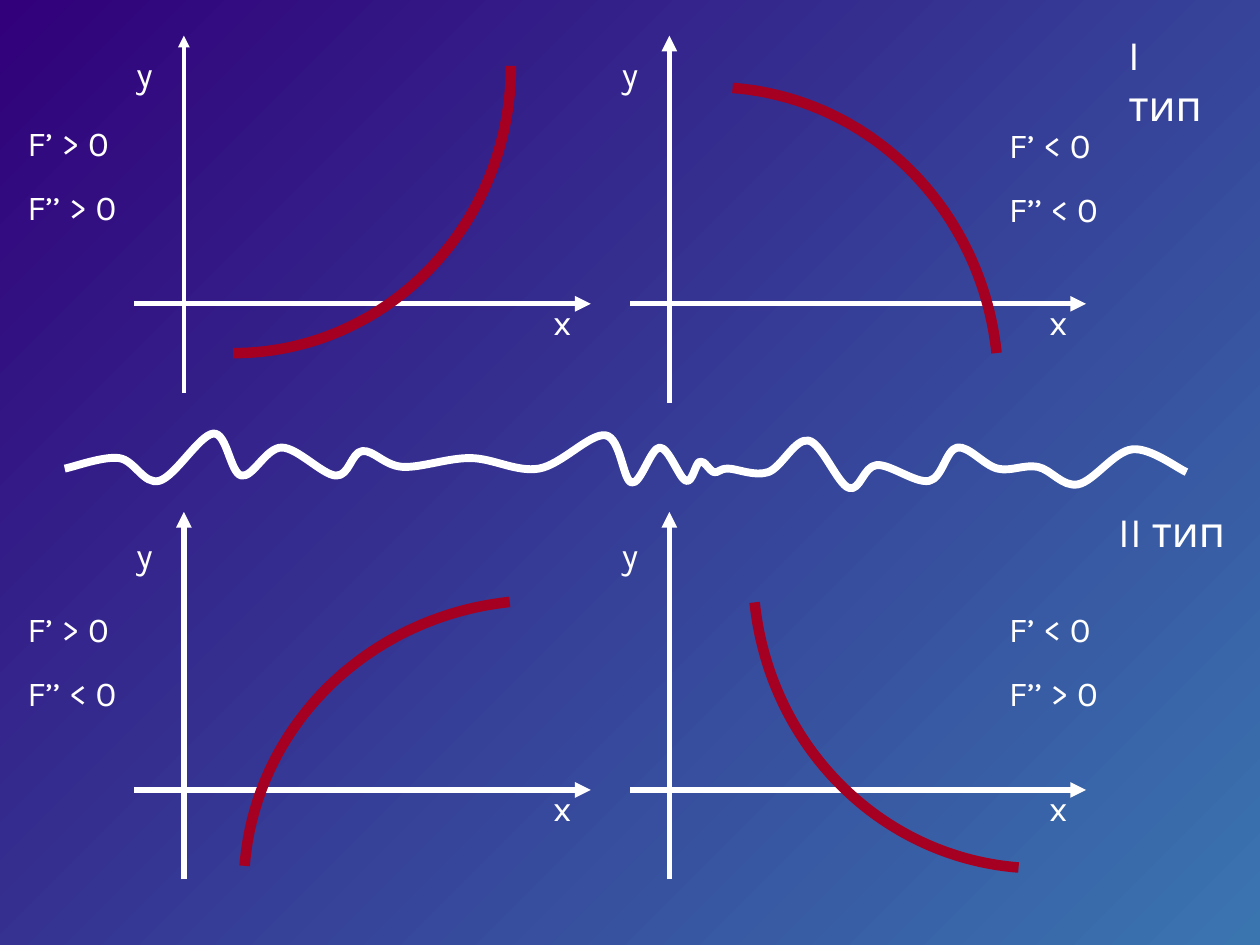
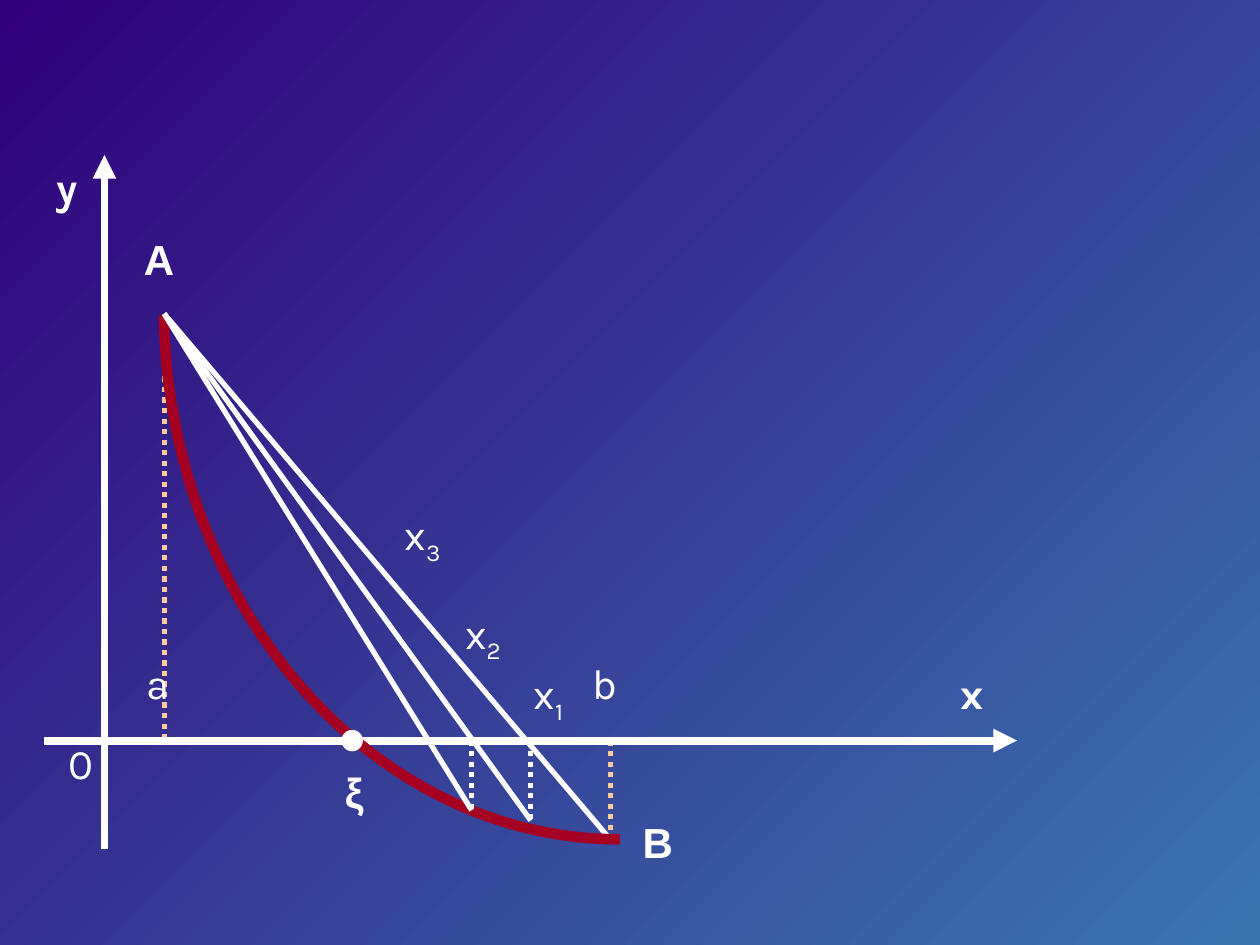
from copy import deepcopy

from lxml import etree
from pptx import Presentation
from pptx import util as u
from pptx.dml.color import RGBColor
from pptx.enum import dml, shapes, text
from pptx.oxml.ns import qn

WHITE = RGBColor(0xFF, 0xFF, 0xFF)
PEACH = RGBColor(0xFF, 0xCC, 0x99)
CRIMSON = RGBColor(0xA5, 0x00, 0x21)
INDIGO = RGBColor(0x31, 0x00, 0x7A)
STEEL = RGBColor(0x3A, 0x75, 0xB0)
FONT, SYMBOL_FONT = "Karla", "Arial"
DOTTED = dml.MSO_LINE.ROUND_DOT


def set_attrs(obj, values):
    for name, value in values.items():
        setattr(obj, name, value)


def add_slide(prs):
    """Blank slide with the shared diagonal gradient."""
    slide = prs.slides.add_slide(prs.slide_layouts[6])
    fill = slide.background.fill
    fill.gradient()
    fill.gradient_angle = 315
    for stop, color in zip(fill.gradient_stops, (INDIGO, STEEL)):
        stop.color.rgb = color
    return slide


def add_line(sps, start, end, width=3, color=WHITE, dash=None, arrow=False):
    sp = sps.add_connector(shapes.MSO_CONNECTOR.STRAIGHT,
                           *(u.Pt(v) for v in (*start, *end)))
    sp.line.color.rgb = color
    set_attrs(sp.line, {"width": u.Pt(width), "dash_style": dash})
    spPr = sp._element.spPr
    if arrow:
        etree.SubElement(spPr.find(qn("a:ln")), qn("a:tailEnd"), type="triangle")
    etree.SubElement(spPr, qn("a:effectLst"))


def add_text(sps, box, lines, size, before, font=FONT, bold=False, sub=None):
    """Text box; sub is an optional subscript after the last line."""
    tf = sps.add_textbox(*(u.Pt(v) for v in box)).text_frame
    tf.word_wrap = True
    tf.vertical_anchor = text.MSO_ANCHOR.TOP
    for i, line in enumerate(lines):
        p = tf.paragraphs[0] if i == 0 else tf.add_paragraph()
        p.space_before = u.Pt(before)
        p.add_run().text = line
    if sub:
        r = p.add_run()
        r.text = sub
        r._r.get_or_add_rPr().set("baseline", "-25000")
    for p in tf.paragraphs:
        for r in p.runs:
            set_attrs(r.font, {"name": font, "size": u.Pt(size), "bold": bold})
            r.font.color.rgb = WHITE


def add_curve(sps, origin, points, width, color, corner=None, rotation=0):
    """Cubic curves: a start, then two handles and an end for each piece.

    With a corner, the arc also bounds an unstroked sector.
    """
    all_points = points + [corner] if corner else points
    start, *rest = [(u.Pt(origin[0] + x), u.Pt(origin[1] + y)) for x, y in all_points]
    builder = sps.build_freeform(*start)
    builder.add_line_segments(rest, close=False)
    sp = builder.convert_to_shape()
    sp.shadow.inherit = False
    sp.fill.background()
    sp.line.color.rgb = color
    sp.line.width = u.Pt(width)
    sp.rotation = rotation
    # Turn each three straight pieces into one cubic piece
    outline = next(sp._element.iter(qn("a:path")))
    pieces = outline.findall(qn("a:lnTo"))
    for i in range(0, len(points) - 1, 3):
        cubic = etree.Element(qn("a:cubicBezTo"))
        outline.replace(pieces[i], cubic)
        for piece in pieces[i:i + 3]:
            cubic.append(piece[0])
        for piece in pieces[i + 1:i + 3]:
            outline.remove(piece)
    if corner:
        sector = deepcopy(outline)
        sector.set("stroke", "0")
        etree.SubElement(sector, qn("a:close"))
        outline.addnext(sector)
        outline.remove(pieces[-1])
        outline.set("fill", "none")


def smooth_path(knots):
    """Handles and ends of a smooth curve through all the knots."""
    ext = [knots[0], *knots, knots[-1]]
    points = [knots[0]]
    for a, b, c, d in zip(ext, ext[1:], ext[2:], ext[3:]):
        points.append(tuple(q + (r - p) / 6 for p, q, r in zip(a, b, c)))
        points.append(tuple(q - (r - p) / 6 for p, q, r in zip(b, c, d)))
        points.append(c)
    return points


# Arcs: curve points and the sector's corner
RISING_ARC = ([(0, 164.2), (87.8, 164.2), (158.8, 90.7), (158.8, 0)], (0, 0))
TURNED_ARC = ([(159.8, 169.9), (80.6, 168.5), (13.7, 109.4), (0, 27.9)], (162, 0))

# Four sign cases: box, axis crossing in the box, y axis width, y label top,
# formula offset, formulas, arc offset, arc, arc rotation
PANELS = [
    ((76.6, 20.4, 261, 204.3), (28.5, 153.2), 2.25, 5.8, (-68, 45.3),
     ["F’ > 0", "F’’ > 0"], (56.6, 17.2), RISING_ARC, 0),
    ((76.6, 292.5, 261, 210), (28.5, 158.9), 3, 8.6, (-68, 50.9),
     ["F’ > 0", "F’’ < 0"], (71.8, 43.9), TURNED_ARC, 93.5),
    ((360, 292.5, 260.6, 210), (22.5, 158.9), 3, 8.6, (209.5, 50.9),
     ["F’ < 0", "F’’ > 0"], (67.6, 28.7), TURNED_ARC, 3.5),
    ((360, 20.4, 260.6, 210), (22.5, 153.2), 3, 5.8, (209.5, 46.4),
     ["F’ < 0", "F’’ < 0"], (51.1, 34.5), TURNED_ARC, 183.5),
]

WAVE = [(0, 20), (31, 14), (54, 27), (85, 0), (101, 24), (124, 8), (155, 24),
        (170, 10), (193, 19), (232, 14), (271, 20), (309, 1), (324, 28), (340, 8),
        (355, 27), (363, 16), (371, 22), (379, 20), (402, 22), (425, 4), (448, 31),
        (464, 18), (494, 27), (510, 8), (533, 20), (556, 19), (579, 29), (610, 9),
        (641, 22)]


def graph_panel(slide, box, crossing, y_width, y_label_top, formula_at, formulas,
                arc_at, arc, rotation):
    sps = slide.shapes.add_group_shape().shapes
    left, top, width, height = box
    ox, oy = left + crossing[0], top + crossing[1]
    # Axes
    add_line(sps, (left, oy), (left + width, oy), arrow=True)
    add_line(sps, (ox, top + height), (ox, top), y_width, arrow=True)
    # Axis names
    add_text(sps, (ox - 34.2, top + y_label_top, 23, 31.5), ["y"], 20, 12.5)
    add_text(sps, (left + 232.5, oy - 5.6, 23, 31.5), ["x"], 20, 12.5)
    # Function curve and signs of its derivatives
    points, corner = arc
    add_curve(sps, (left + arc_at[0], top + arc_at[1]), points, 6, CRIMSON,
              corner, rotation)
    add_text(sps, (left + formula_at[0], top + formula_at[1], 79.2, 68),
             formulas, 20, 12.5)


def types_slide(prs):
    slide = add_slide(prs)
    for panel in PANELS:
        graph_panel(slide, *panel)
    # Wavy divider between the two types
    add_curve(slide.shapes, (37, 247.8), smooth_path(WAVE), 4.5, WHITE)
    for box, name in (((637.8, 13, 68.4, 65), "I тип"),
                      ((632, 285.3, 79.2, 36), "II тип")):
        add_text(slide.shapes, box, [name], 24, 15)


def secants_slide(prs, box):
    sps = add_slide(prs).shapes
    left, top, width, height = box
    axis_x, axis_y = 34.3, 334.6
    point_a, point_b = (68.4, 90.7), (323.3, 391)

    def line(start, end, *args, **kw):
        add_line(sps, (left + start[0], top + start[1]),
                 (left + end[0], top + end[1]), *args, **kw)

    def label(name, x, y, w=45, before=15, **kw):
        add_text(sps, (left + x, top + y, w, 36), [name], 24, before, **kw)

    # First secant and the ends of the interval
    line(point_a, point_b)
    line((point_a[0], 96.5), (point_a[0], axis_y), color=PEACH, dash=DOTTED)
    line((point_b[0], axis_y), point_b, color=PEACH, dash=DOTTED)
    # Axes and function curve
    line((0, axis_y), (width, axis_y), 4.5, arrow=True)
    add_curve(sps, (left + 68.2, top + 85),
              [(260.6, 306), (118.8, 306), (2.9, 172.8), (0, 6.5)], 6, CRIMSON,
              corner=(260.6, 0))
    line((axis_x, height), (axis_x, 0), 4.5, arrow=True)
    # Root
    size = 11.5
    sp = sps.add_shape(shapes.MSO_SHAPE.OVAL, u.Pt(left + 170.1),
                       u.Pt(top + axis_y - size / 2), u.Pt(size), u.Pt(size))
    sp.shadow.inherit = False
    sp.fill.solid()
    sp.fill.fore_color.rgb = sp.line.color.rgb = WHITE
    sp.line.width = u.Pt(0.75)
    # Next secants with their verticals
    for foot in ((277.9, 380.2), (244.1, 374.4)):
        line((foot[0], axis_y), foot, dash=DOTTED)
        line(foot, point_a)
    # Axis names
    label("y", 0, 0, bold=True)
    label("x", 516.2, 289.4, bold=True)
    # Marks on the x axis
    for name, x, y in (("0", 6.9, 329.3), ("a", 51.5, 283.7), ("b", 306.3, 283.7)):
        label(name, x, y, 28, 0)
    # Approximations
    for sub, x, y, w in (("1", 272.5, 289.4, 34), ("2", 233.3, 254.9, 45),
                         ("3", 198.7, 198.7, 45)):
        label("x", x, y, w, sub=sub)
    # Points
    for name, x, y, w, before in (("ξ", 164.6, 345.6, 40, 15), ("A", 49.7, 41.3, 32, 0),
                                  ("B", 334.8, 374.4, 32, 0)):
        label(name, x, y, w, before, font=SYMBOL_FONT, bold=True)


def main():
    prs = Presentation()
    set_attrs(prs, {"slide_width": u.Pt(720), "slide_height": u.Pt(540)})
    types_slide(prs)
    secants_slide(prs, (25.4, 88.6, 555.8, 396.7))
    prs.save("out.pptx")


if __name__ == "__main__":
    main()
